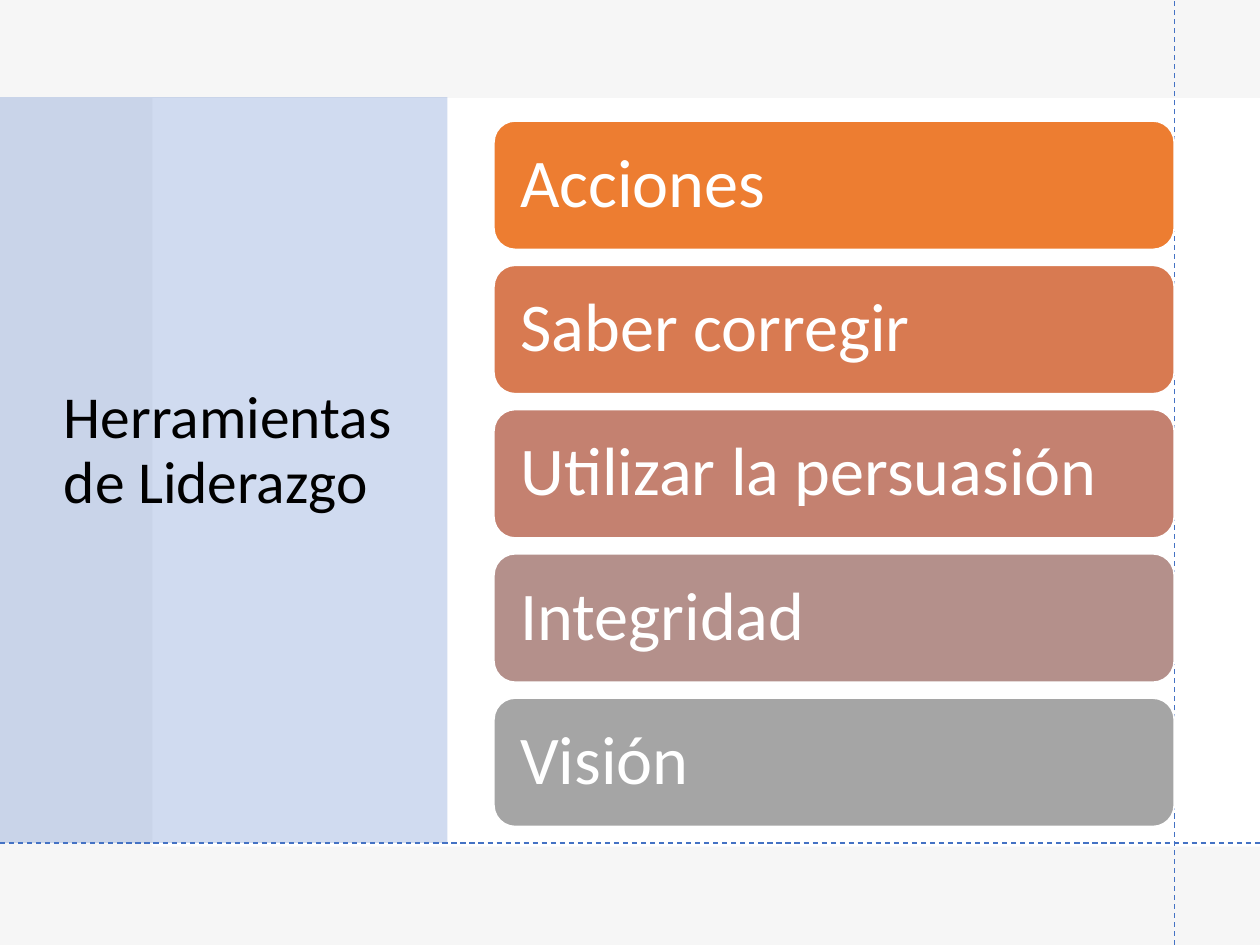
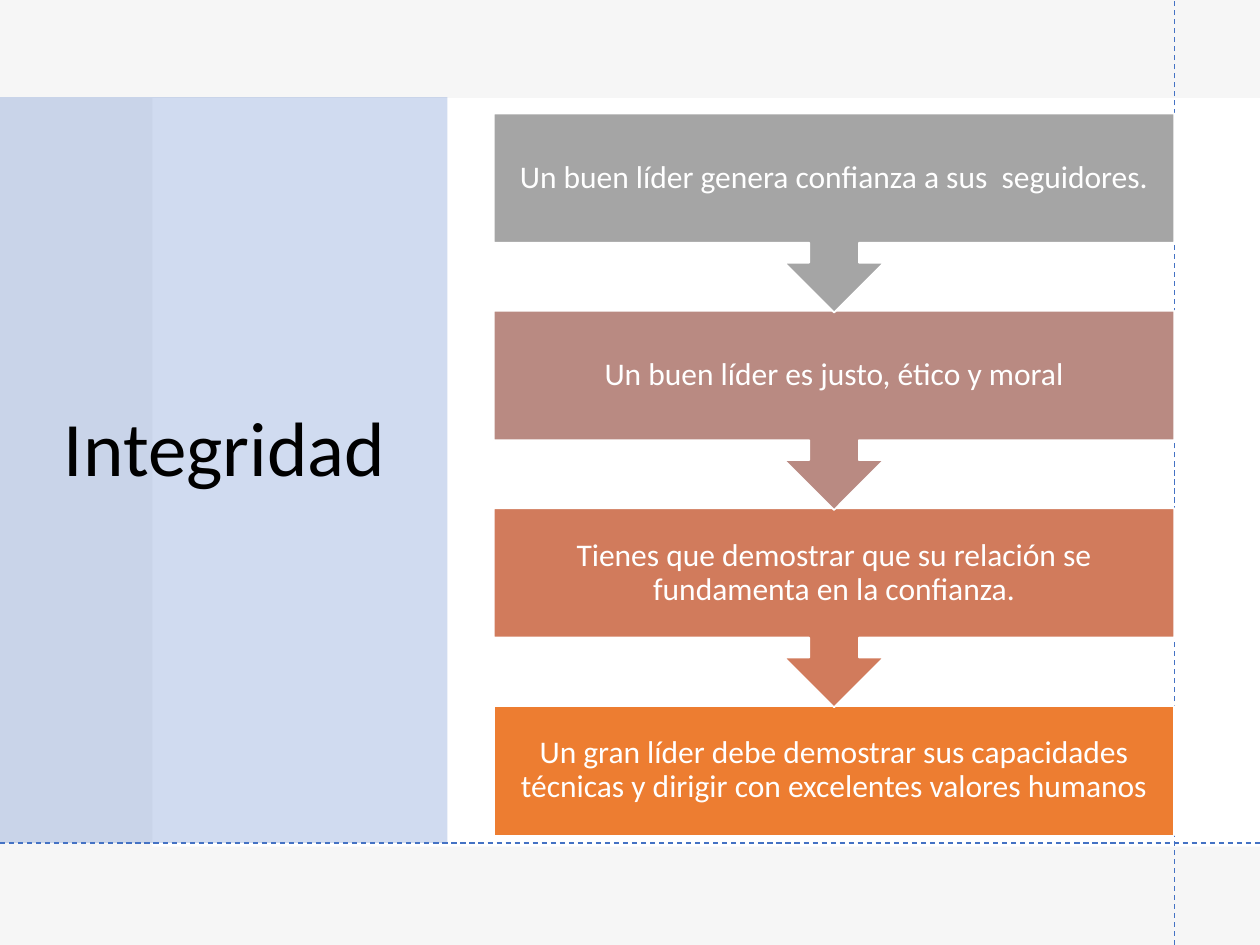
import pptx
import pptx.util
import pptx.dml.color
import pptx.enum.dml
import pptx.enum.shapes
import pptx.enum.text
import pptx.oxml.ns
import lxml.etree

Inches = pptx.util.Inches
Pt = pptx.util.Pt
RGBColor = pptx.dml.color.RGBColor
Shape = pptx.enum.shapes.MSO_SHAPE
Align = pptx.enum.text.PP_ALIGN
qn = pptx.oxml.ns.qn

WHITE = RGBColor(0xFF, 0xFF, 0xFF)
BLACK = RGBColor(0x00, 0x00, 0x00)
MIST = RGBColor(0xE7, 0xE6, 0xE6)
BLUE = RGBColor(0x44, 0x72, 0xC4)
ORANGE = RGBColor(0xED, 0x7D, 0x31)
GRAY = RGBColor(0xA5, 0xA5, 0xA5)

TOOLS_TITLE = "Herramientas de Liderazgo"
TOOLS = [
    ("Acciones", ORANGE),
    ("Saber corregir", RGBColor(0xD8, 0x7A, 0x51)),
    ("Utilizar la persuasión", RGBColor(0xC4, 0x81, 0x70)),
    ("Integridad", RGBColor(0xB4, 0x90, 0x8B)),
    ("Visión", GRAY),
]

INTEGRITY_TITLE = "Integridad"
INTEGRITY_STEPS = [
    ("Un buen líder genera confianza a sus  seguidores.", GRAY),
    ("Un buen líder es justo, ético y moral", RGBColor(0xB9, 0x8A, 0x82)),
    ("Tienes que demostrar que su relación se fundamenta en la confianza.",
     RGBColor(0xD1, 0x7B, 0x5C)),
    ("Un gran líder debe demostrar sus capacidades técnicas y dirigir con "
     "excelentes valores humanos", ORANGE),
]

FONT = "Calibri"
WIDTH, HEIGHT = 10, 7.5
GUIDE_X, GUIDE_Y = 9.32, 6.69
CONTENT_LEFT = 3.92
CONTENT_WIDTH = GUIDE_X - CONTENT_LEFT
TITLE_BOX = (0.41, 0.74, 2.96, 5.69)

PANELS = [
    ((0, 0, WIDTH, HEIGHT), WHITE, 100),
    ((0, 0, WIDTH, HEIGHT), MIST, 35),
    ((1.21, 0.78, WIDTH - 1.21, 5.94), WHITE, 100),
    ((0, 0.77, 3.55, 5.92), BLUE, 25),
]
GUIDES = [
    (GUIDE_X, HEIGHT, GUIDE_X, 0),
    (0, GUIDE_Y, WIDTH, GUIDE_Y),
]


def set_fill(fill, color, opacity=100):
    fill.solid()
    fill.fore_color.rgb = color
    if opacity < 100:
        color_element = fill._xPr.find(qn("a:solidFill"))[0]
        alpha = lxml.etree.SubElement(color_element, qn("a:alpha"))
        alpha.set("val", str(opacity * 1000))


def add_block(slide, kind, box, color, opacity=100):
    shape = slide.shapes.add_shape(kind, *map(Inches, box))
    shape.shadow.inherit = False
    set_fill(shape.fill, color, opacity)
    shape.line.fill.background()
    return shape


def add_guide(slide, ends):
    guide = slide.shapes.add_connector(
        pptx.enum.shapes.MSO_CONNECTOR.STRAIGHT, *map(Inches, ends))
    guide.line.color.rgb = BLUE
    guide.line.width = Pt(0.75)
    guide.line.dash_style = pptx.enum.dml.MSO_LINE.DASH
    lxml.etree.SubElement(guide._element.spPr, qn("a:effectLst"))


def write(shape, text, size, color, align=Align.LEFT, inset=None):
    frame = shape.text_frame
    frame.word_wrap = True
    frame.vertical_anchor = pptx.enum.text.MSO_ANCHOR.MIDDLE
    if inset is not None:
        frame.margin_left = frame.margin_right = Inches(inset)
        frame.margin_top = frame.margin_bottom = Inches(inset)
    paragraph = frame.paragraphs[0]
    paragraph.text = text
    paragraph.alignment = align
    paragraph.line_spacing = 0.9
    paragraph.font.name = FONT
    paragraph.font.size = Pt(size)
    paragraph.font.color.rgb = color


def add_card(slide, kind, top, height, card, size, align, inset):
    text, color = card
    shape = add_block(slide, kind, (CONTENT_LEFT, top, CONTENT_WIDTH, height), color)
    shape.line.color.rgb = WHITE
    shape.line.width = Pt(1)
    write(shape, text, size, WHITE, align, inset)


def add_base(presentation, title, title_size):
    slide = presentation.slides.add_slide(presentation.slide_layouts[6])
    set_fill(slide.background.fill, MIST, 35)
    for box, color, opacity in PANELS:
        add_block(slide, Shape.RECTANGLE, box, color, opacity)
    title_box = slide.shapes.add_textbox(*map(Inches, TITLE_BOX))
    write(title_box, title, title_size, BLACK)
    for ends in GUIDES:
        add_guide(slide, ends)
    return slide


def build_tools(presentation):
    slide = add_base(presentation, TOOLS_TITLE, 34)
    top, pitch, height = 0.96, 1.145, 1.02
    for row, tool in enumerate(TOOLS):
        add_card(slide, Shape.ROUNDED_RECTANGLE, top + row * pitch, height,
                 tool, 39, Align.LEFT, 0.16)


def build_integrity(presentation):
    slide = add_base(presentation, INTEGRITY_TITLE, 44)
    top, pitch, box_height, callout_height = 0.9, 1.567, 1.03, 1.58
    last = len(INTEGRITY_STEPS) - 1
    for row in range(last, -1, -1):
        kind, height = ((Shape.RECTANGLE, box_height) if row == last
                        else (Shape.DOWN_ARROW_CALLOUT, callout_height))
        add_card(slide, kind, top + row * pitch, height,
                 INTEGRITY_STEPS[row], 18, Align.CENTER, 0.14)


def main():
    presentation = pptx.Presentation()
    presentation.slide_width = Inches(WIDTH)
    presentation.slide_height = Inches(HEIGHT)
    build_tools(presentation)
    build_integrity(presentation)
    presentation.save("out.pptx")


if __name__ == "__main__":
    main()
